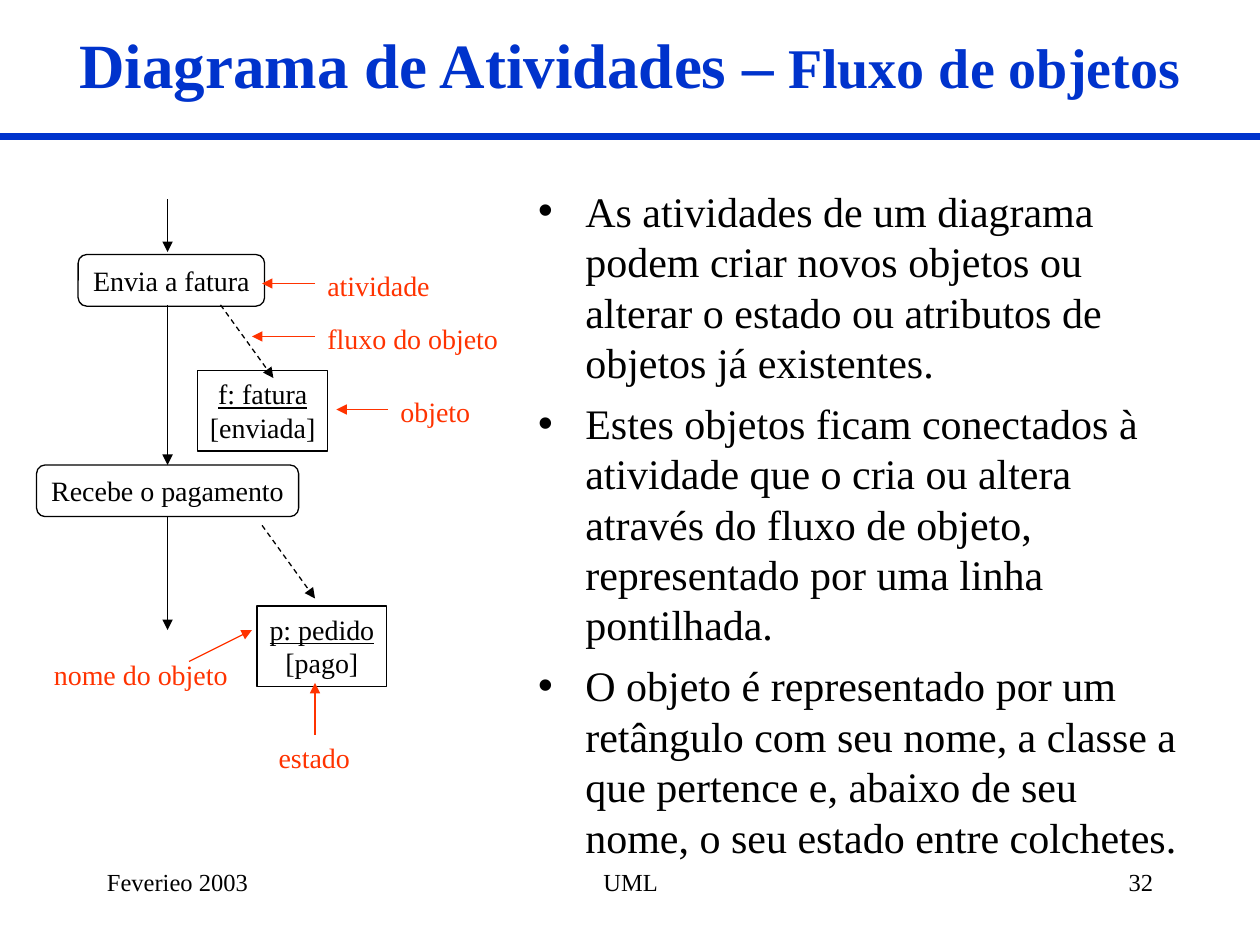
from pptx import Presentation
from pptx.dml.color import RGBColor
from pptx.enum.dml import MSO_LINE
from pptx.enum.shapes import MSO_CONNECTOR, MSO_SHAPE
from pptx.enum.text import MSO_ANCHOR, MSO_AUTO_SIZE, PP_ALIGN
from pptx.oxml.ns import qn
from pptx.util import Inches, Pt
from lxml import etree

RECT, ROUND = MSO_SHAPE.RECTANGLE, MSO_SHAPE.ROUNDED_RECTANGLE
STRAIGHT = MSO_CONNECTOR.STRAIGHT
DASH = MSO_LINE.DASH
LEFT, MID, RIGHT = PP_ALIGN.LEFT, PP_ALIGN.CENTER, PP_ALIGN.RIGHT
TOP, CENTER = MSO_ANCHOR.TOP, MSO_ANCHOR.MIDDLE
FIXED = MSO_AUTO_SIZE.NONE

FONT = "Times New Roman"
BLACK, BLUE, RED = "000000", "0033CC", "FF3300"


def rgb(code):
    return RGBColor.from_string(code)


class Page:
    """Style and drawing methods for one slide."""

    def __init__(self, slide):
        self.slide = slide
        self.shapes = slide.shapes

    def place(self, shape, left, top, width, height):
        shape.left, shape.top = Inches(left), Inches(top)
        shape.width, shape.height = Inches(width), Inches(height)

    def style(self, para, size, color, align=None):
        if align is not None:
            para.alignment = align
        for run in para.runs:
            run.font.name = FONT
            run.font.size = Pt(size)
            run.font.color.rgb = rgb(color)

    def frame(self, shape, anchor=TOP, wrap=True):
        frame = shape.text_frame
        frame.auto_size = FIXED
        frame.word_wrap = wrap
        frame.vertical_anchor = anchor
        return frame

    def title(self, main, rest):
        shape = self.shapes.title
        self.place(shape, 0, 0, 10, 1)
        para = self.frame(shape, CENTER).paragraphs[0]
        for text in (main, rest):
            para.add_run().text = text
        self.style(para, 36, BLUE, MID)
        for run in para.runs:
            run.font.bold = True
        para.runs[1].font.size = Pt(32)

    def body(self, items):
        shape = self.slide.placeholders[1]
        self.place(shape, 4.17, 1.42, 5.33, 5.5)
        frame = self.frame(shape)
        frame.text = "\n".join(items)
        for para in frame.paragraphs:
            para.space_before = Pt(6)
            self.style(para, 24, BLACK)

    def label(self, text, left, top, width, height=0.37,
              size=16, color=RED, align=LEFT):
        shape = self.shapes.add_textbox(
            Inches(left), Inches(top), Inches(width), Inches(height))
        frame = self.frame(shape)
        frame.text = text
        self.style(frame.paragraphs[0], size, color, align)

    def box(self, kind, text, left, top, width, height):
        shape = self.shapes.add_shape(
            kind, Inches(left), Inches(top), Inches(width), Inches(height))
        shape.shadow.inherit = False
        shape.fill.background()
        shape.line.color.rgb = rgb(BLACK)
        shape.line.width = Pt(0.75)
        frame = self.frame(shape, TOP, False)
        frame.text = text
        for para in frame.paragraphs:
            self.style(para, 16, BLACK, MID)
        return shape

    def action(self, text, left, top, width):
        return self.box(ROUND, text, left, top, width, 0.41)

    def item(self, name, state, left, top):
        shape = self.box(RECT, f"{name}\n[{state}]", left, top, 1.03, 0.64)
        shape.text_frame.paragraphs[0].runs[0].font.underline = True

    def line(self, start, end, color, width=0.75):
        link = self.shapes.add_connector(
            STRAIGHT, *(Inches(v) for v in (*start, *end)))
        link.line.color.rgb = rgb(color)
        link.line.width = Pt(width)
        etree.SubElement(link._element.spPr, qn("a:effectLst"))
        return link

    def arrow(self, start, end, color=BLACK, dash=None):
        link = self.line(start, end, color)
        if dash is not None:
            link.line.dash_style = dash
        tail = etree.SubElement(link.line._get_or_add_ln(), qn("a:tailEnd"))
        tail.set("type", "triangle")
        return link


def main():
    deck = Presentation()
    deck.slide_width, deck.slide_height = Inches(10), Inches(7.5)
    page = Page(deck.slides.add_slide(deck.slide_layouts[1]))

    # Heading and rule
    page.line((0, 1.08), (10, 1.08), BLUE, 4)
    page.title("Diagrama de Atividades –", " Fluxo de objetos")

    # Explanation
    page.body([
        "As atividades de um diagrama podem criar novos objetos ou alterar "
        "o estado ou atributos de objetos já existentes.",
        "Estes objetos ficam conectados à atividade que o cria ou altera "
        "através do fluxo de objeto, representado por uma linha pontilhada.",
        "O objeto é representado por um retângulo com seu nome, a classe a "
        "que pertence e, abaixo de seu nome, o seu estado entre colchetes.",
    ])

    # Activities and objects
    page.action("Envia a fatura", 0.62, 2.02, 1.48)
    receive = page.action("Recebe o pagamento", 0.29, 3.69, 2.08)
    page.item("f: fatura", "enviada", 1.57, 2.94)
    page.item("p: pedido", "pago", 2.04, 4.81)

    # Control flow
    axis = 1.33
    page.arrow((axis, 1.58), (axis, 2))
    page.arrow((axis, 2.42), (axis, 3.69)).end_connect(receive, 0)
    page.arrow((axis, 4.1), (axis, 5)).begin_connect(receive, 2)

    # Object flow
    for left, top in ((1.75, 2.42), (2.08, 4.17)):
        page.arrow((left, top), (left + 0.42, top + 0.58), dash=DASH)

    # Red notes and their pointers
    page.label("atividade", 2.5, 2.08, 1.17)
    page.label("fluxo do objeto", 2.5, 2.5, 1.75)
    page.label("objeto", 3.08, 3.08, 0.83)
    page.label("nome do objeto", 0.33, 5.17, 1.83)
    page.label("estado", 2.08, 5.83, 0.83, align=MID)
    for start, end in (
        ((2.5, 2.25), (2.08, 2.25)),
        ((2.5, 2.67), (2, 2.67)),
        ((3.08, 3.25), (2.67, 3.25)),
        ((1.5, 5.25), (2, 5)),
        ((2.5, 5.83), (2.5, 5.42)),
    ):
        page.arrow(start, end, RED)

    # Footer
    for text, left, width, align in (
        ("Feverieo 2003", 0.75, 2.08, LEFT),
        ("UML", 3.42, 3.17, MID),
        ("32", 7.17, 2.08, RIGHT),
    ):
        page.label(text, left, 6.83, width, 0.5, 14, BLACK, align)

    deck.save("out.pptx")


if __name__ == "__main__":
    main()
